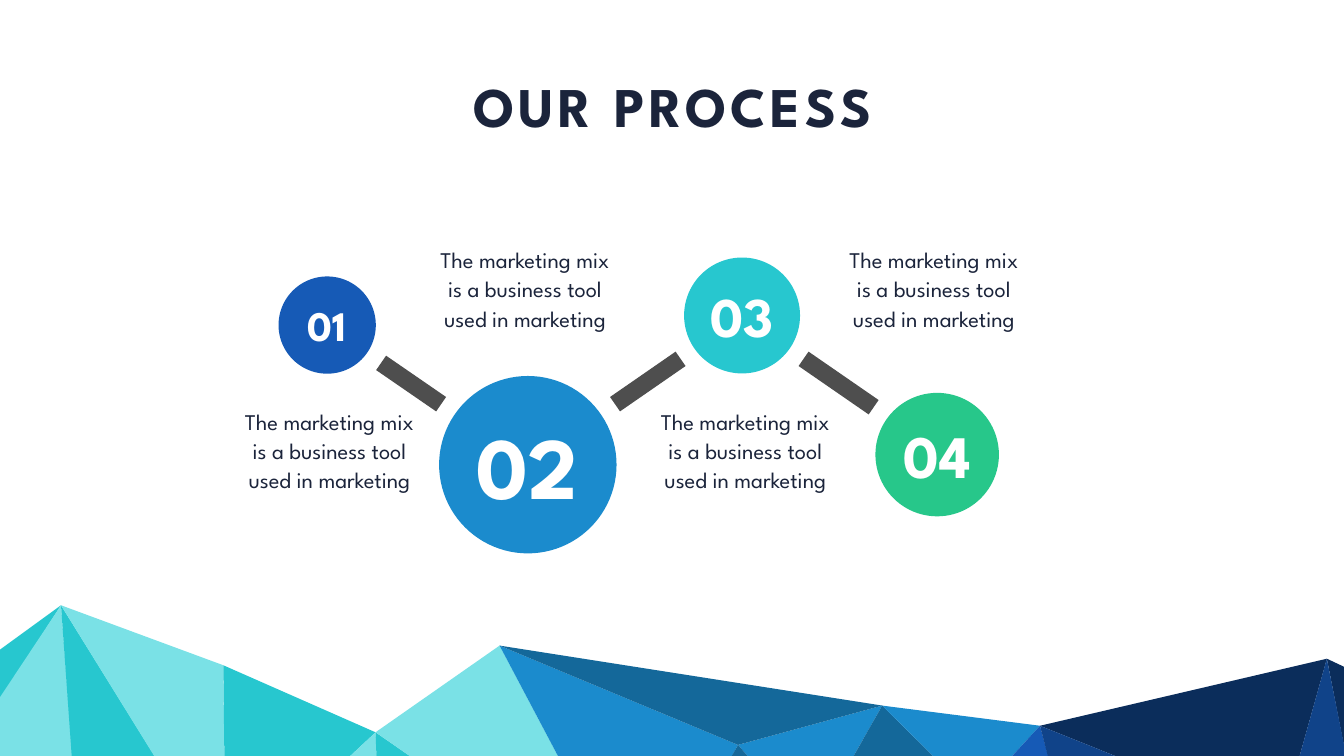
from lxml import etree
from pptx import Presentation
from pptx.dml.color import RGBColor
from pptx.enum.shapes import MSO_CONNECTOR, MSO_SHAPE
from pptx.enum.text import MSO_ANCHOR, MSO_AUTO_SIZE, PP_ALIGN
from pptx.oxml.ns import qn
from pptx.util import Inches, Pt

INK = RGBColor(0x1B, 0x24, 0x3B)
WHITE = RGBColor(0xFF, 0xFF, 0xFF)
GRAY = RGBColor(0x4E, 0x4E, 0x4E)
TEAL = RGBColor(0x27, 0xC7, 0xCF)
AQUA = RGBColor(0x7A, 0xE1, 0xE6)
SKY = RGBColor(0x1B, 0x8B, 0xCD)
STEEL = RGBColor(0x14, 0x68, 0x9A)
ROYAL = RGBColor(0x16, 0x5A, 0xB6)
COBALT = RGBColor(0x10, 0x43, 0x89)
NAVY = RGBColor(0x0B, 0x2D, 0x5B)
GREEN = RGBColor(0x27, 0xC7, 0x8A)

FONT = "League Spartan"
CAPTION = "The marketing mix is a business tool used in marketing"

# label, center x, center y, diameter, number size, color
STEPS = [
    ("01", 6.49, 6.45, 1.93, 60, ROYAL),
    ("02", 10.47, 9.22, 3.52, 125, SKY),
    ("03", 14.72, 6.26, 2.3, 80, TEAL),
    ("04", 18.59, 9.02, 2.45, 86, GREEN),
]
LINKS = [
    (7.56, 7.2, 8.75, 8.02),
    (12.2, 8.02, 13.5, 7.12),
    (15.94, 7.12, 17.33, 8.08),
]
UPPER_ROW, LOWER_ROW = 4.78, 7.99
CAPTIONS = [(4.63, LOWER_ROW), (8.51, UPPER_ROW),
            (12.88, LOWER_ROW), (16.62, UPPER_ROW)]

# Corners shared by neighboring facets of the mountain range
BASE = 16.65
EDGE = 26.81
PEAK_1 = (1.21, 12.01)
SLOPE_1 = (4.43, 13.2)
VALLEY_1 = (7.45, 14.53)
PEAK_2 = (9.91, 12.81)
SLOPE_2 = (14.64, 14.78)
RIDGE = (17.5, 14)
FOOT_1 = (16.1, 16.47)
FOOT_2 = (19.33, 15.81)
VALLEY_2 = (20.63, 14.4)
FOOT_3 = (25.41, 16.32)
PEAK_3 = (26.32, 13.07)

FACETS = [
    (TEAL, [PEAK_1, (0, 12.89), (0, 13.88)]),
    (AQUA, [(1.56, BASE), PEAK_1, (-0.03, 13.88), (-0.03, BASE)]),
    (TEAL, [(4.09, BASE), PEAK_1, (1.54, BASE)]),
    (AQUA, [(4.47, BASE), SLOPE_1, PEAK_1, (4.08, BASE)]),
    (TEAL, [(5.18, BASE), VALLEY_1, SLOPE_1, (4.47, BASE)]),
    (AQUA, [(7.55, BASE), VALLEY_1, (5.18, BASE)]),
    (TEAL, [(10.52, BASE), VALLEY_1, (7.53, BASE)]),
    (AQUA, [(11.94, BASE), PEAK_2, VALLEY_1, (10.49, BASE)]),
    (SKY, [(13.62, BASE), SLOPE_2, PEAK_2, (11.94, BASE)]),
    (SKY, [SLOPE_2, FOOT_1, RIDGE]),
    (STEEL, [FOOT_1, FOOT_2, RIDGE]),
    (SKY, [RIDGE, FOOT_2, VALLEY_2]),
    (ROYAL, [(21.24, BASE), VALLEY_2, FOOT_2, (20.28, BASE)]),
    (NAVY, [VALLEY_2, FOOT_3, PEAK_3]),
    (COBALT, [(24.42, BASE), FOOT_3, VALLEY_2, (21.21, BASE)]),
    (NAVY, [(EDGE, 13.3), PEAK_3, (EDGE, 15.57)]),
    (COBALT, [(EDGE, BASE), (EDGE, 15.52), PEAK_3, FOOT_3, (26, BASE)]),
    (STEEL, [PEAK_2, RIDGE, SLOPE_2]),
    (STEEL, [(15.71, BASE), FOOT_1, SLOPE_2, (13.59, BASE)]),
]


def paint(shape, color):
    shape.shadow.inherit = False
    shape.fill.solid()
    shape.fill.fore_color.rgb = color
    shape.line.fill.background()


def write(frame, text, color, spacing=0, **formats):
    """Put one centered run into the frame; spacing is between letters, in points."""
    paragraph = frame.paragraphs[0]
    paragraph.alignment = PP_ALIGN.CENTER
    run = paragraph.add_run()
    run.text = text
    for key, value in {"name": FONT, **formats}.items():
        setattr(run.font, key, value)
    run.font.color.rgb = color
    if spacing:
        run._r.get_or_add_rPr().set("spc", str(spacing * 100))
    return paragraph


def add_mountains(slide):
    mountains = slide.shapes.add_group_shape().shapes
    for color, corners in FACETS:
        points = [(Inches(x), Inches(y)) for x, y in corners]
        outline = mountains.build_freeform(*points[0])
        outline.add_line_segments(points[1:], close=True)
        paint(outline.convert_to_shape(), color)


def add_link(slide, *ends):
    link = slide.shapes.add_connector(
        MSO_CONNECTOR.STRAIGHT, *[Inches(end) for end in ends])
    link.line.width = Pt(25)
    link.line.color.rgb = GRAY
    etree.SubElement(link._element.spPr, qn("a:effectLst"))


def add_step(slide, label, center_x, center_y, diameter, size, color):
    circle = slide.shapes.add_shape(
        MSO_SHAPE.OVAL, Inches(center_x - diameter / 2),
        Inches(center_y - diameter / 2), Inches(diameter), Inches(diameter))
    paint(circle, color)
    frame = circle.text_frame
    layout = {"word_wrap": False, "vertical_anchor": MSO_ANCHOR.MIDDLE,
              "margin_left": 0, "margin_right": 0,
              "margin_top": 0, "margin_bottom": 0}
    for key, value in layout.items():
        setattr(frame, key, value)
    write(frame, label, WHITE, size=Pt(size), bold=True)


def add_label(slide, left, top, width, height, wrap):
    box = slide.shapes.add_textbox(
        Inches(left), Inches(top), Inches(width), Inches(height))
    box.text_frame.word_wrap = wrap
    box.text_frame.auto_size = MSO_AUTO_SIZE.SHAPE_TO_FIT_TEXT
    return box.text_frame


def add_title(slide):
    frame = add_label(slide, 8.75, 1.36, 9.19, 1.45, wrap=False)
    write(frame, "OUR PROCESS", INK, spacing=6, size=Pt(80), bold=True)


def add_caption(slide, left, top):
    frame = add_label(slide, left, top, 3.81, 2.46, wrap=True)
    write(frame, CAPTION, INK, size=Pt(32)).line_spacing = Pt(42)


def main():
    deck = Presentation()
    deck.slide_width, deck.slide_height = Inches(26.66), Inches(15)
    slide = deck.slides.add_slide(deck.slide_layouts[6])
    add_mountains(slide)
    for link in LINKS:
        add_link(slide, *link)
    for step in STEPS:
        add_step(slide, *step)
    add_title(slide)
    for caption in CAPTIONS:
        add_caption(slide, *caption)
    deck.save("out.pptx")


if __name__ == "__main__":
    main()
